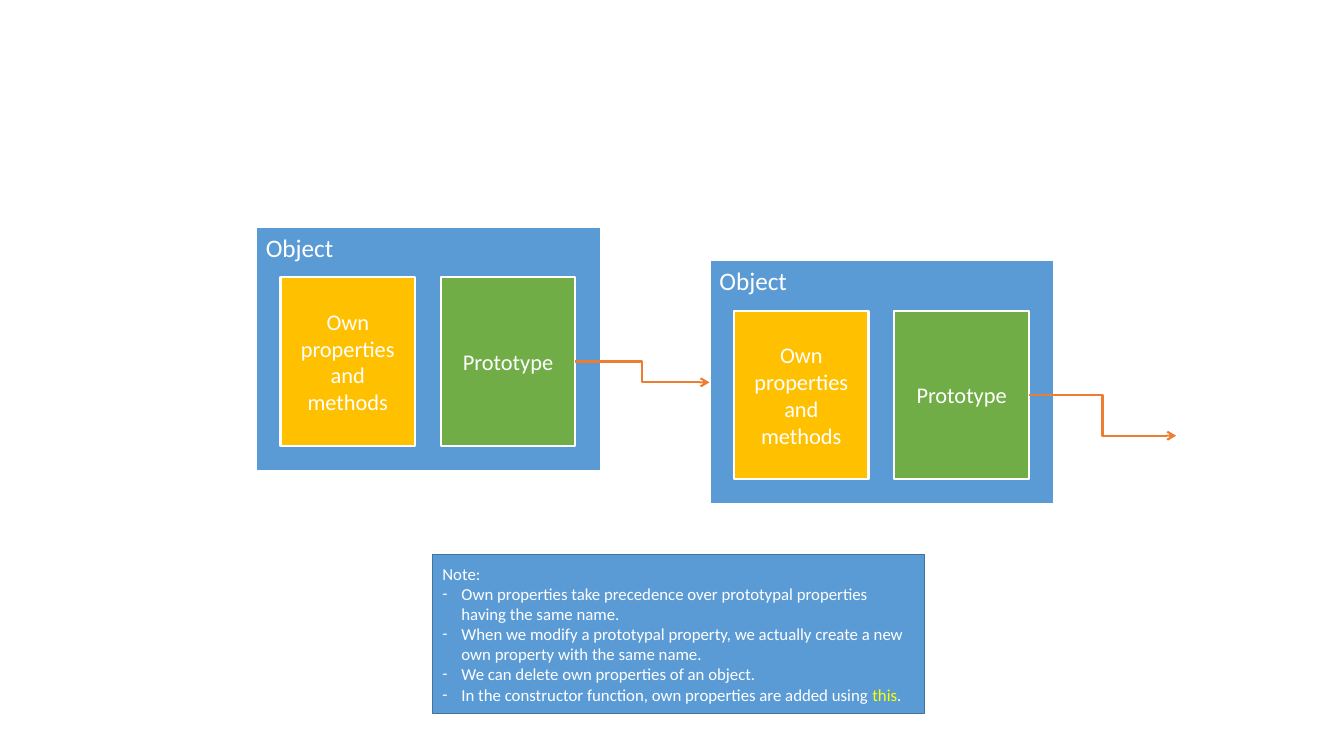
import pptx
import pptx.util
import pptx.dml.color
import pptx.enum.shapes
import pptx.enum.text
import pptx.oxml
import pptx.oxml.ns
from lxml import etree

Cm, Pt = pptx.util.Cm, pptx.util.Pt
qn = pptx.oxml.ns.qn
PP_ALIGN = pptx.enum.text.PP_ALIGN
MSO_ANCHOR = pptx.enum.text.MSO_ANCHOR


def rgb(color):
    return pptx.dml.color.RGBColor.from_string(color)


def add_text(p, text, size=16, color="FFFFFF", align=PP_ALIGN.LEFT):
    p.alignment = align
    r = p.add_run()
    r.text = text
    r.font.name = "Calibri"
    r.font.size = Pt(size)
    r.font.color.rgb = rgb(color)


prs = pptx.Presentation()
prs.slide_width, prs.slide_height = Cm(33.87), Cm(19.05)
s = prs.slides.add_slide(prs.slide_layouts[6])

# Boxes: left, top, width, height, fill, line, line width, anchor
boxes = [(10.9, 13.97, 12.4, 4.01, "5B9BD5", "43739E", 1, MSO_ANCHOR.MIDDLE)]
for x, y in [(6.45, 5.72), (17.88, 6.56)]:
    boxes.append((x, y, 8.69, 6.15, "5B9BD5", "FFFFFF", 1.5, MSO_ANCHOR.TOP))
    for i, fill in enumerate(["FFC000", "70AD47"]):
        boxes.append((x + 0.62 + i * 4.04, y + 1.27, 3.39, 4.24,
                      fill, "FFFFFF", 1.5, MSO_ANCHOR.MIDDLE))

shapes = []
for x, y, w, h, fill, line, width, anchor in boxes:
    sp = s.shapes.add_shape(pptx.enum.shapes.MSO_SHAPE.RECTANGLE,
                            Cm(x), Cm(y), Cm(w), Cm(h))
    sp.shadow.inherit = False
    sp.fill.solid()
    sp.fill.fore_color.rgb = rgb(fill)
    sp.line.color.rgb = rgb(line)
    sp.line.width = Pt(width)
    sp.text_frame.word_wrap = True
    sp.text_frame.vertical_anchor = anchor
    shapes.append(sp)
note, *objects = shapes

# Object labels
labels = [("Object", 18, PP_ALIGN.LEFT),
          ("Own properties and methods", 16, PP_ALIGN.CENTER),
          ("Prototype", 16, PP_ALIGN.CENTER)]
for sp, (text, size, align) in zip(objects, labels * 2):
    add_text(sp.text_frame.paragraphs[0], text, size=size, align=align)

# Note with dashed list
tf = note.text_frame
add_text(tf.paragraphs[0], "Note:", size=12)
for text in [
    "Own properties take precedence over prototypal properties having the same name.",
    "When we modify a prototypal property, we actually create a new own property with the same name.",
    "We can delete own properties of an object.",
    "In the constructor function, own properties are added using ",
]:
    p = tf.add_paragraph()
    add_text(p, text, size=12)
    pPr = p._p.get_or_add_pPr()
    pPr.set("marL", str(Cm(0.48)))
    pPr.set("indent", str(-Cm(0.48)))
    etree.SubElement(pPr, qn("a:buFont")).set("typeface", "Calibri")
    etree.SubElement(pPr, qn("a:buChar")).set("char", "-")
add_text(p, "this", size=12, color="FFFF00")
add_text(p, ".", size=12)

# Prototype links
first_prototype, second_object, second_prototype = objects[2], objects[3], objects[5]
for start, end in [(first_prototype, second_object), (second_prototype, None)]:
    c = s.shapes.add_connector(pptx.enum.shapes.MSO_CONNECTOR.ELBOW,
                               Cm(25.93), Cm(9.95), Cm(29.64), Cm(10.98))
    c.begin_connect(start, 3)
    if end is not None:
        c.end_connect(end, 1)
    c.line.color.rgb = rgb("ED7D31")
    c.line.width = Pt(1.5)
    spPr = c._element.spPr
    etree.SubElement(spPr.find(qn("a:ln")), qn("a:tailEnd")).set("type", "arrow")
    etree.SubElement(spPr, qn("a:effectLst"))

prs.save("out.pptx")
